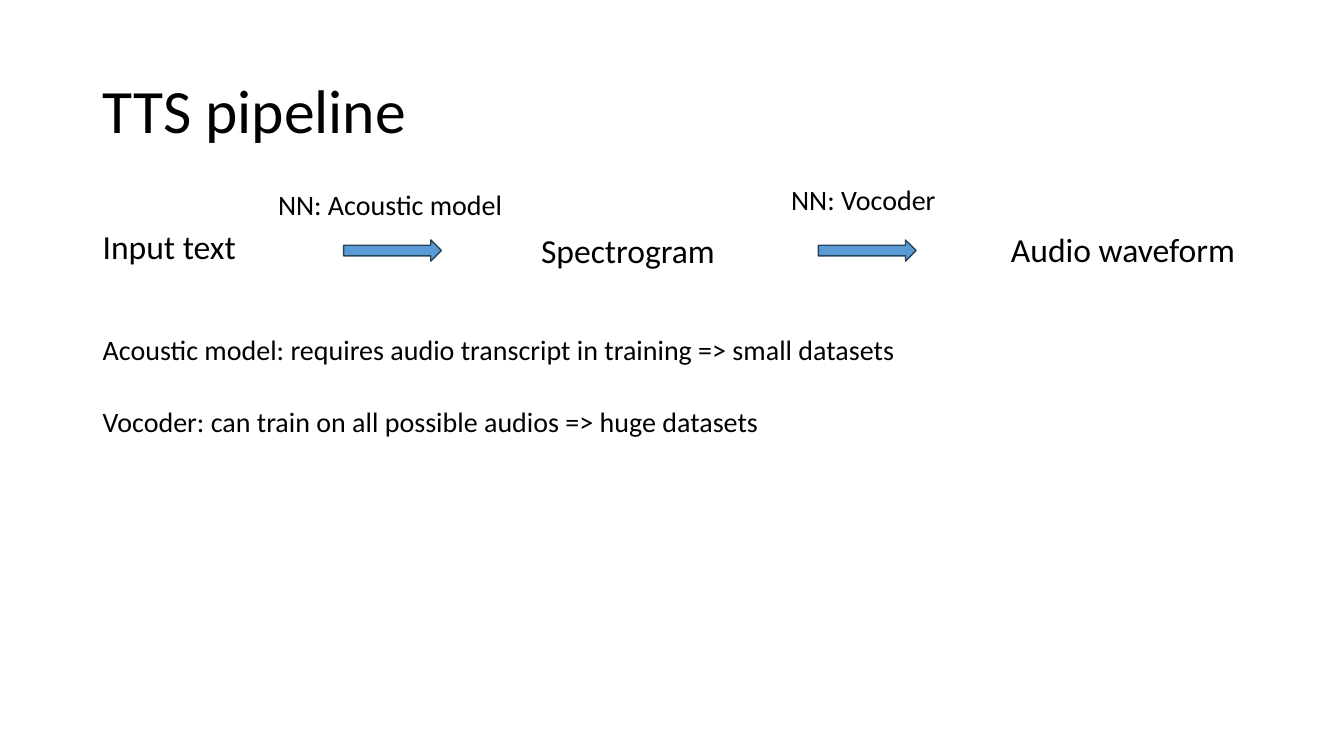
from dataclasses import dataclass
from pptx import Presentation
from pptx.dml.color import RGBColor
from pptx.enum.shapes import MSO_SHAPE
from pptx.enum.text import MSO_ANCHOR, MSO_AUTO_SIZE
from pptx.slide import Slide
from pptx.util import Pt


@dataclass(frozen=True)
class Theme:
    font: str = "Calibri"
    ink: RGBColor = RGBColor(0x00, 0x00, 0x00)
    fill: RGBColor = RGBColor(0x5B, 0x9B, 0xD5)
    edge: RGBColor = RGBColor(0x28, 0x44, 0x5D)
    head: int = 44
    stage: int = 24
    note: int = 20


@dataclass(frozen=True)
class Label:
    text: str
    left: float
    top: float
    width: float
    height: float
    size: int


THEME = Theme()
EDGE = 66.24
STAGE_H = 36.35
NOTE_H = 31.5
TITLE = Label("TTS pipeline", EDGE, 28.75, 828, 104.4, THEME.head)
STAGES = [
    Label("Input text", EDGE, 157.7, 110.9, STAGE_H, THEME.stage),
    Label("Spectrogram", 379.4, 160.6, 139.7, STAGE_H, THEME.stage),
    Label("Audio waveform", 715, 159.8, 176.4, STAGE_H, THEME.stage),
]
NOTES = [
    Label("NN: Acoustic model", 191.5, 130.3, 176.4, NOTE_H, THEME.note),
    Label("NN: Vocoder", 558, 126.7, 118.8, NOTE_H, THEME.note),
    Label("Acoustic model: requires audio transcript in training => small datasets",
          EDGE, 234, 608.4, NOTE_H, THEME.note),
    Label("Vocoder: can train on all possible audios => huge datasets",
          EDGE, 285.1, 487.4, NOTE_H, THEME.note),
]
ARROWS = (245.5, 584.6)


def add_label(slide: Slide, label: Label, title: bool = False) -> None:
    """Write one label; the title wraps and sits in the middle of its box."""
    box = slide.shapes.add_textbox(
        Pt(label.left), Pt(label.top), Pt(label.width), Pt(label.height))
    frame = box.text_frame
    frame.word_wrap = title
    para = frame.paragraphs[0]
    if title:
        frame.vertical_anchor = MSO_ANCHOR.MIDDLE
        para.line_spacing = 0.9
    else:
        frame.auto_size = MSO_AUTO_SIZE.SHAPE_TO_FIT_TEXT
    run = para.add_run()
    run.text = label.text
    run.font.name = THEME.font
    run.font.size = Pt(label.size)
    run.font.color.rgb = THEME.ink


def add_arrow(slide: Slide, left: float) -> None:
    """Draw one block arrow between two stages."""
    arrow = slide.shapes.add_shape(
        MSO_SHAPE.RIGHT_ARROW, Pt(left), Pt(171.4), Pt(69.8), Pt(15.1))
    arrow.shadow.inherit = False
    arrow.fill.solid()
    arrow.fill.fore_color.rgb = THEME.fill
    arrow.line.color.rgb = THEME.edge
    arrow.line.width = Pt(1)


def main() -> None:
    """Build the slide and save it."""
    deck = Presentation()
    deck.slide_width, deck.slide_height = Pt(960), Pt(540)
    slide = deck.slides.add_slide(deck.slide_layouts[6])
    add_label(slide, TITLE, title=True)
    for label in STAGES:
        add_label(slide, label)
    for left in ARROWS:
        add_arrow(slide, left)
    for label in NOTES:
        add_label(slide, label)
    deck.save("out.pptx")


if __name__ == "__main__":
    main()
